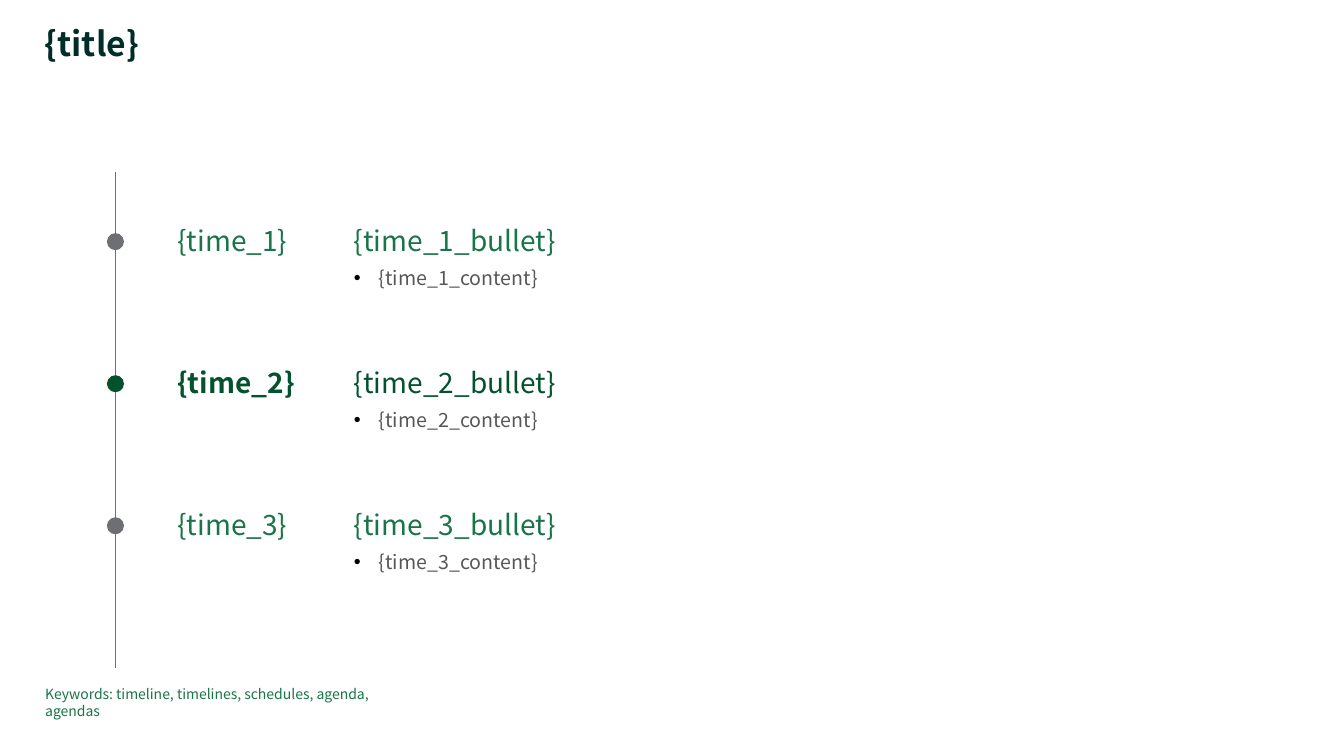
import pptx
import pptx.util
import pptx.dml.color
import pptx.enum.shapes
import pptx.enum.text
from lxml import etree
from pptx.oxml.ns import qn

Cm, Pt = pptx.util.Cm, pptx.util.Pt
RGBColor = pptx.dml.color.RGBColor

FONT = "Noto Sans CJK JP"
DARK = RGBColor(0x00, 0x2D, 0x28)
FOREST = RGBColor(0x03, 0x52, 0x2D)
GREEN = RGBColor(0x1A, 0x74, 0x49)
GRAY = RGBColor(0x6E, 0x6F, 0x73)
TEXT_GRAY = RGBColor(0x57, 0x57, 0x57)


class TimelineSlide:
    def __init__(self, prs):
        # The Comparison layout has a title and four body placeholders
        self.s = prs.slides.add_slide(prs.slide_layouts[4])
        self.bodies = iter(list(self.s.placeholders)[1:])

    def place(self, sp, left, top, width, height):
        box = dict(left=left, top=top, width=width, height=height)
        for name, value in box.items():
            setattr(sp, name, Cm(value))
        margins = dict.fromkeys(
            ("margin_left", "margin_top", "margin_right", "margin_bottom"), 0)
        frame = dict(margins, word_wrap=True,
                     auto_size=pptx.enum.text.MSO_AUTO_SIZE.NONE,
                     vertical_anchor=pptx.enum.text.MSO_ANCHOR.TOP)
        for name, value in frame.items():
            setattr(sp.text_frame, name, value)
        return sp.text_frame

    def fill_paragraph(self, p, text, size, color, bold=False, bullet=False,
                       spacing=1.0):
        pPr = p._p.get_or_add_pPr()
        indent = Cm(0.63) if bullet else 0
        pPr.set("marL", str(indent))
        pPr.set("indent", str(-indent))
        if bullet:
            clr = etree.SubElement(pPr, qn("a:buClr"))
            etree.SubElement(clr, qn("a:srgbClr"), val="000000")
            etree.SubElement(pPr, qn("a:buFont"), typeface="Arial")
            etree.SubElement(pPr, qn("a:buChar"), char="•")
        else:
            etree.SubElement(pPr, qn("a:buNone"))
        layout = dict(alignment=pptx.enum.text.PP_ALIGN.LEFT, line_spacing=spacing,
                      space_before=Pt(6 if bullet else 0), space_after=Pt(0))
        for name, value in layout.items():
            setattr(p, name, value)
        r = p.add_run()
        r.text = text
        for name, value in dict(name=FONT, size=Pt(size), bold=bold).items():
            setattr(r.font, name, value)
        r.font.color.rgb = color

    def title(self, text, *box):
        tf = self.place(self.s.shapes.title, *box)
        self.fill_paragraph(tf.paragraphs[0], text, 24, DARK, bold=True, spacing=0.9)

    def body(self, text, size, color, *box):
        tf = self.place(next(self.bodies), *box)
        self.fill_paragraph(tf.paragraphs[0], text, size, color)
        return tf

    def label(self, text, color, bold, *box):
        tf = self.place(self.s.shapes.add_textbox(0, 0, 0, 0), *box)
        self.fill_paragraph(tf.paragraphs[0], text, 20, color, bold)

    def axis(self, x, top, bottom):
        line = self.s.shapes.add_connector(
            pptx.enum.shapes.MSO_CONNECTOR.STRAIGHT, Cm(x), Cm(top), Cm(x), Cm(bottom))
        line.line.color.rgb = GRAY
        line.line.width = Pt(0.5)
        etree.SubElement(line._element.spPr, qn("a:effectLst"))

    def dot(self, x, y, size, color):
        sp = self.s.shapes.add_shape(
            pptx.enum.shapes.MSO_SHAPE.OVAL,
            Cm(x - size / 2), Cm(y - size / 2), Cm(size), Cm(size))
        sp.shadow.inherit = False
        sp.fill.solid()
        sp.fill.fore_color.rgb = color
        sp.line.fill.background()


def main():
    prs = pptx.Presentation()
    prs.slide_width, prs.slide_height = Cm(33.87), Cm(19.05)
    slide = TimelineSlide(prs)
    slide.title("{title}", 1.13, 0.7, 28.02, 0.94)

    # Timeline axis
    axis_x = 2.91
    slide.axis(axis_x, 4.33, 16.82)

    # Three stops, the second one highlighted
    first_top, step = 5.64, 3.58
    for i in range(3):
        n, top = i + 1, first_top + i * step
        current = n == 2
        color = FOREST if current else GREEN
        slide.dot(axis_x, top + 0.45, 0.43, FOREST if current else GRAY)
        slide.label(f"{{time_{n}}}", color, current, 4.47, top, 3.3, 0.89)
        tf = slide.body(f"{{time_{n}_bullet}}", 20, color, 8.92, top, 21.39, 1.68)
        slide.fill_paragraph(tf.add_paragraph(), f"{{time_{n}_content}}", 14,
                             TEXT_GRAY, bullet=True)

    # Keywords
    slide.body("Keywords: timeline, timelines, schedules, agenda, agendas",
               10, GREEN, 1.14, 17.27, 9.3, 0.43)

    prs.save("out.pptx")


if __name__ == "__main__":
    main()
